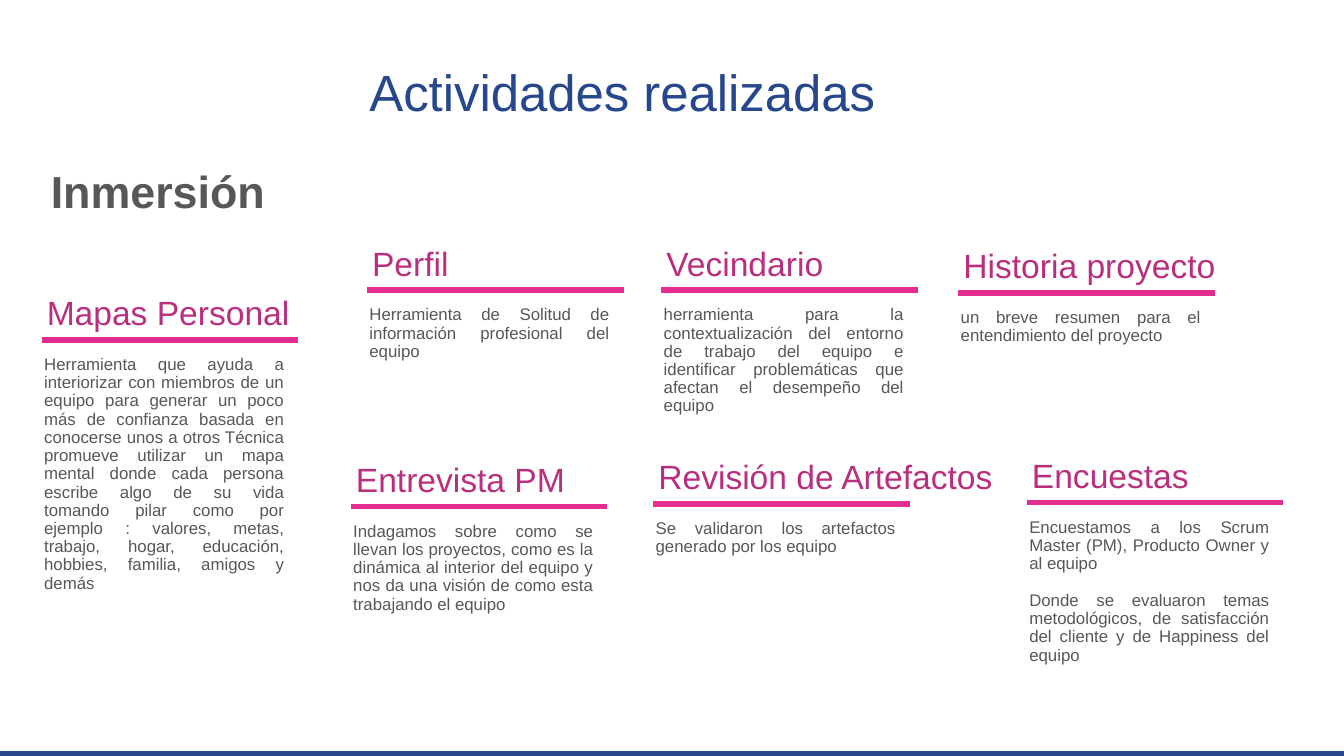
"""Build the slide of immersion activities: a title and seven ruled cards."""
import pptx
import pptx.dml.color
import pptx.enum.shapes
import pptx.enum.text
import pptx.oxml
import pptx.util

WIDTH = 10
HEIGHT = WIDTH * 9 / 16
COLORS = {"navy": "26478D", "plum": "BA2F7D", "pink": "E32D91", "gray": "575756"}
ALIGN = pptx.enum.text.PP_ALIGN
ANCHOR = pptx.enum.text.MSO_ANCHOR
TITLE = "Actividades realizadas"
SECTION = "Inmersión"
CARD = {"rule": 1.91, "rule_indent": 0.08, "heading_indent": 0.02,
        "heading_height": 0.37, "body_width": 1.98, "body_gap": 0.07}
CARDS = [
    {"left": 0.23, "rule_top": 2.53, "heading": "Mapas Personal", "heading_width": 2.04, "body_height": 1.81,
     "body": ["Herramienta que ayuda a interiorizar con miembros de un equipo para generar un poco más de "
              "confianza basada en conocerse unos a otros Técnica promueve utilizar un mapa mental donde "
              "cada persona escribe algo de su vida tomando pilar como por ejemplo : valores, metas, "
              "trabajo, hogar, educación, hobbies, familia, amigos y demás"]},
    {"left": 2.65, "rule_top": 2.16, "heading": "Perfil", "heading_width": 2.04, "body_height": 0.59,
     "body": ["Herramienta de Solitud de información profesional del equipo"]},
    {"left": 4.84, "rule_top": 2.16, "heading": "Vecindario", "heading_width": 2.04, "body_height": 0.96,
     "body": ["herramienta para la contextualización del entorno de trabajo del equipo e identificar "
              "problemáticas que afectan el desempeño del equipo"]},
    {"left": 7.05, "rule_top": 2.18, "heading": "Historia proyecto", "heading_width": 2.15, "body_height": 0.47,
     "body": ["un breve resumen para el entendimiento del proyecto"]},
    {"left": 2.53, "rule_top": 3.77, "heading": "Entrevista PM", "heading_width": 2.04, "body_height": 1.06,
     "body": ["Indagamos sobre como se llevan los proyectos, como es la dinámica al interior del equipo y "
              "nos da una visión de como esta trabajando el equipo"]},
    {"left": 4.78, "rule_top": 3.75, "heading": "Revisión de Artefactos", "heading_width": 2.85, "body_height": 1.06,
     "body": ["Se validaron los artefactos generado por los equipo"]},
    {"left": 7.56, "rule_top": 3.74, "heading": "Encuestas", "heading_width": 2.04, "body_height": 1.06,
     "body": ["Encuestamos a los Scrum Master (PM), Producto Owner y al equipo",
              "Donde se evaluaron temas metodológicos, de satisfacción del cliente y de Happiness del equipo"]},
]


def inches(*lengths):
    return [pptx.util.Inches(length) for length in lengths]


def color(name):
    return pptx.dml.color.RGBColor.from_string(COLORS[name])


def add_text(shapes, text, *, at, size, fill, bold=False, align=ALIGN.LEFT,
             spacing=0.9, anchor=ANCHOR.TOP):
    box = shapes.add_textbox(*inches(*at))
    frame = box.text_frame
    frame.word_wrap = True
    frame.vertical_anchor = anchor
    frame.text = text
    for index, para in enumerate(frame.paragraphs):
        para.alignment = align
        para.line_spacing = spacing
        para.space_before = pptx.util.Pt(10 if index else 0)
        for span in para.runs:
            span.font.name = "Arial"
            span.font.size = pptx.util.Pt(size)
            span.font.bold = bold
            span.font.color.rgb = color(fill)


def add_rule(shapes, left, top, length):
    rule = shapes.add_connector(pptx.enum.shapes.MSO_CONNECTOR.STRAIGHT,
                                *inches(left, top, left + length, top))
    rule.line.color.rgb = color("pink")
    rule.line.width = pptx.util.Pt(3)
    rule._element.spPr.append(pptx.oxml.parse_xml(
        '<a:effectLst xmlns:a="http://schemas.openxmlformats.org/drawingml/2006/main"/>'))


def add_card(page, card):
    shapes = page.shapes.add_group_shape().shapes
    left, top = card["left"], card["rule_top"]
    add_text(shapes, "\n".join(card["body"]), size=9, fill="gray", align=ALIGN.JUSTIFY,
             at=(left, top + CARD["body_gap"], CARD["body_width"], card["body_height"]))
    add_text(shapes, card["heading"], size=18, fill="plum",
             at=(left + CARD["heading_indent"], top - CARD["heading_height"],
                 card["heading_width"], CARD["heading_height"]))
    add_rule(shapes, left + CARD["rule_indent"], top, CARD["rule"])


def main():
    deck = pptx.Presentation()
    deck.slide_width, deck.slide_height = inches(WIDTH, HEIGHT)
    page = deck.slides.add_slide(deck.slide_layouts[6])
    add_text(page.shapes, SECTION, at=(0.28, 1.17, 2.44, 0.5), size=24, fill="gray",
             bold=True, spacing=1.0)
    footer = page.shapes.add_shape(pptx.enum.shapes.MSO_SHAPE.RECTANGLE,
                                   *inches(0, 5.59, WIDTH, 0.07))
    footer.shadow.inherit = False
    footer.fill.solid()
    footer.fill.fore_color.rgb = color("navy")
    footer.line.fill.background()
    add_text(page.shapes, TITLE, at=(2.65, 0.11, 4.82, 0.85), size=27.3, fill="navy",
             anchor=ANCHOR.BOTTOM)
    for card in CARDS:
        add_card(page, card)
    deck.save("out.pptx")


if __name__ == "__main__":
    main()
